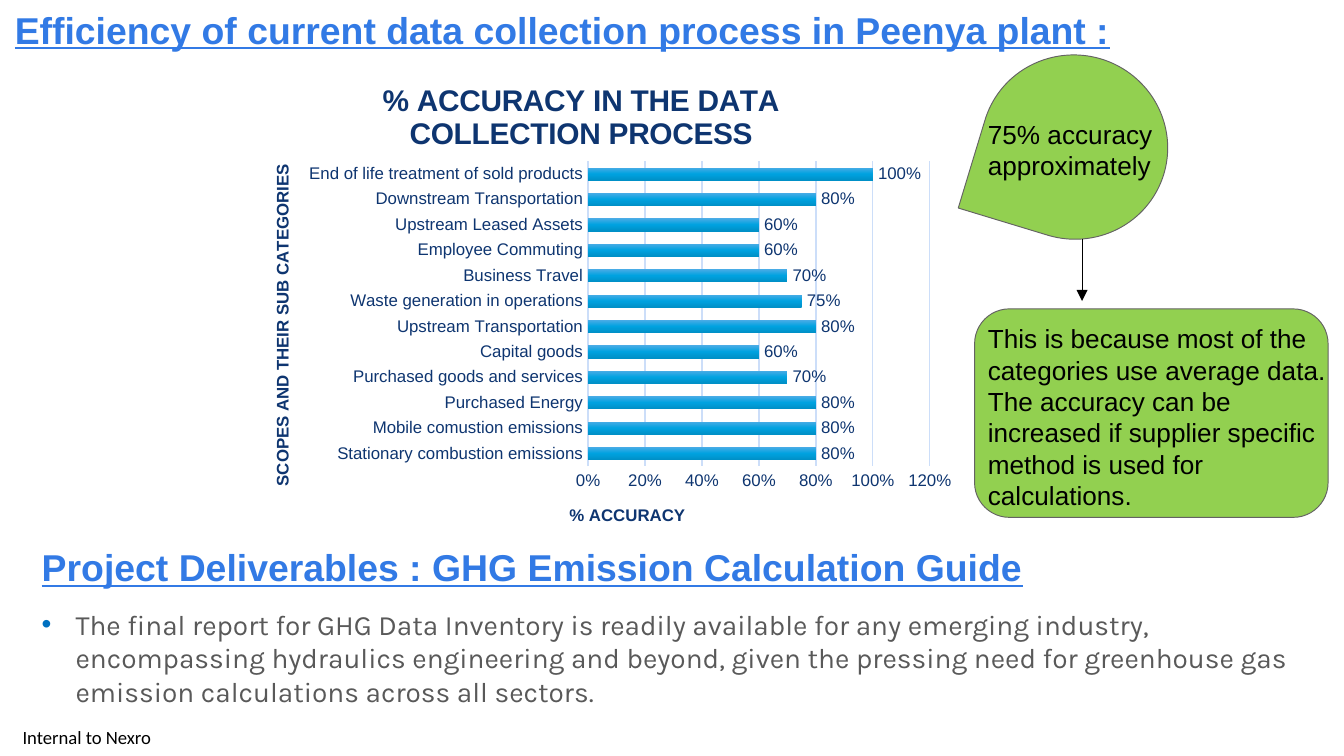
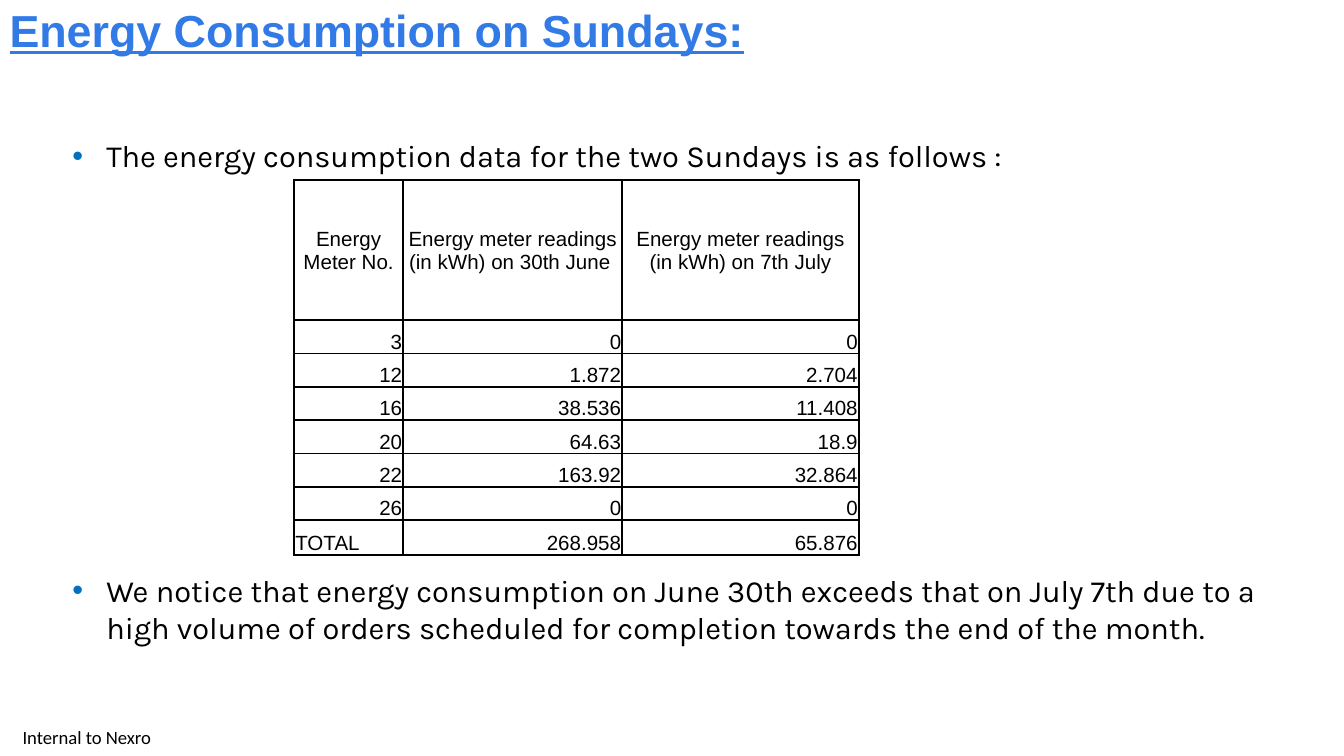
from dataclasses import dataclass, replace

from pptx import Presentation
from pptx.chart.data import CategoryChartData
from pptx.dml.color import RGBColor
from pptx.enum.chart import XL_CHART_TYPE as CT, XL_LABEL_POSITION as LP, XL_TICK_MARK as TM
from pptx.enum.shapes import MSO_CONNECTOR as CONN, MSO_SHAPE as SHAPE
from pptx.enum.text import MSO_ANCHOR as ANCHOR, MSO_AUTO_SIZE as AUTO, PP_ALIGN as ALIGN
from pptx.oxml import parse_xml
from pptx.oxml.ns import nsdecls, qn
from pptx.util import Cm, Pt


@dataclass(frozen=True)
class Style:
    size: float
    font: str = "Arial"
    color: str = "000000"
    bold: bool = False
    underline: bool = False


@dataclass(frozen=True)
class Theme:
    black: str = "000000"
    bullet: str = "0070C0"
    callout: str = "92D050"
    outline: str = "646363"
    grid: str = "CCDEF9"
    bar_stops: tuple = ((0, "4BACE6"), (50, "00A2E0"), (100, "0090C7"))
    heading: Style = Style(20, color="327AE5", bold=True, underline=True)
    body: Style = Style(15, "Karla", "595959")
    note: Style = Style(14)
    cell: Style = Style(11)
    footer: Style = Style(10, "Calibri")
    chart_title: Style = Style(16, color="0E3570", bold=True)
    axis_title: Style = Style(9, color="0E3570", bold=True)
    axis: Style = Style(9, color="0E3570")


THEME = Theme()
FOOTER = "Internal to Nexro"

ACCURACY = {
    "Stationary combustion emissions": 0.8,
    "Mobile comustion emissions": 0.8,
    "Purchased Energy": 0.8,
    "Purchased goods and services": 0.7,
    "Capital goods": 0.6,
    "Upstream Transportation": 0.8,
    "Waste generation in operations": 0.75,
    "Business Travel": 0.7,
    "Employee Commuting": 0.6,
    "Upstream Leased Assets": 0.6,
    "Downstream Transportation": 0.8,
    "End of life treatment of sold products": 1,
}

READINGS = [
    ("Energy Meter No.", "Energy meter readings (in kWh) on 30th June ",
     "Energy meter readings (in kWh) on 7th July"),
    ("3", "0", "0"),
    ("12", "1.872", "2.704"),
    ("16", "38.536", "11.408"),
    ("20", "64.63", "18.9"),
    ("22", "163.92", "32.864"),
    ("26", "0", "0"),
    ("TOTAL", "268.958", "65.876"),
]


# Text helpers
def rgb(color):
    return RGBColor.from_string(color)


def style_font(font, style):
    font.size = Pt(style.size)
    font.name = style.font
    font.bold = style.bold
    font.underline = style.underline
    font.color.rgb = rgb(style.color)


def add_run(p, text, style):
    r = p.add_run()
    r.text = text
    style_font(r.font, style)


def set_frame(tf, x_inset, y_inset, anchor=ANCHOR.TOP):
    tf.word_wrap = True
    tf.auto_size = AUTO.NONE
    tf.vertical_anchor = anchor
    tf.margin_left = tf.margin_right = Cm(x_inset)
    tf.margin_top = tf.margin_bottom = Cm(y_inset)


def add_text(slide, box, text, style, inset=(0.25, 0.13), align=ALIGN.LEFT,
             anchor=ANCHOR.TOP):
    tf = slide.shapes.add_textbox(*map(Cm, box)).text_frame
    set_frame(tf, *inset, anchor)
    p = tf.paragraphs[0]
    p.alignment = align
    add_run(p, text, style)


def add_bullets(slide, box, texts, style, gap=0):
    tf = slide.shapes.add_textbox(*map(Cm, box)).text_frame
    set_frame(tf, 0.13, 0.13)
    for i, text in enumerate(texts):
        p = tf.add_paragraph() if i else tf.paragraphs[0]
        p.space_before = Pt(gap if i else 0)
        pPr = p._p.get_or_add_pPr()
        pPr.set("marL", str(Cm(0.64)))
        pPr.set("indent", str(-Cm(0.64)))
        for xml in (f'<a:buClr {nsdecls("a")}><a:srgbClr val="{THEME.bullet}"/></a:buClr>',
                    f'<a:buFont {nsdecls("a")} typeface="Arial"/>',
                    f'<a:buChar {nsdecls("a")} char="•"/>'):
            pPr.append(parse_xml(xml))
        add_run(p, text, style)


# Slide with title and footer
def add_slide(prs, title, box, style, inset, spacing=1.0):
    slide = prs.slides.add_slide(prs.slide_layouts[5])
    sp = slide.shapes.title
    sp.left, sp.top, sp.width, sp.height = map(Cm, box)
    set_frame(sp.text_frame, *inset)
    p = sp.text_frame.paragraphs[0]
    p.alignment = ALIGN.LEFT
    p.line_spacing = spacing
    add_run(p, title, style)
    add_text(slide, (0, 13.56, 3.28, 0.74), FOOTER, THEME.footer, (0, 0),
             ALIGN.CENTER, ANCHOR.MIDDLE)
    return slide


# Shapes and arrows
def add_callout(slide, kind, box, rotation=0):
    sp = slide.shapes.add_shape(kind, *map(Cm, box))
    sp.shadow.inherit = False
    sp.rotation = rotation
    sp.fill.solid()
    sp.fill.fore_color.rgb = rgb(THEME.callout)
    sp.line.color.rgb = rgb(THEME.outline)
    sp.line.width = Pt(0.5)


def add_arrow(slide, x1, y1, x2, y2):
    line = slide.shapes.add_connector(CONN.STRAIGHT, *map(Cm, (x1, y1, x2, y2)))
    line.line.color.rgb = rgb(THEME.black)
    line.line.width = Pt(0.5)
    line.line._get_or_add_ln().append(parse_xml(f'<a:tailEnd {nsdecls("a")} type="triangle"/>'))
    line._element.spPr.append(parse_xml(f'<a:effectLst {nsdecls("a")}/>'))


# Chart
def place(element, x, y, w=None, h=None):
    """Set a manual layout, in fractions of the chart area."""
    old = element.find(qn("c:layout"))
    if old is not None:
        element.remove(old)
    target = '<c:layoutTarget val="inner"/>' if w else ""
    size = f'<c:w val="{w}"/><c:h val="{h}"/>' if w else ""
    layout = parse_xml(
        f'<c:layout {nsdecls("c")}><c:manualLayout>{target}<c:xMode val="edge"/>'
        f'<c:yMode val="edge"/><c:x val="{x}"/><c:y val="{y}"/>{size}'
        '</c:manualLayout></c:layout>')
    element.insert(0 if element.find(qn("c:tx")) is None else 1, layout)


def write_title(title, text, style, x, y, rotation=0):
    tf = title.text_frame
    add_run(tf.paragraphs[0], text, style)
    tf._txBody.find(qn("a:bodyPr")).set("rot", str(rotation * 60000))
    place(title._element, x, y)


def style_axis(axis):
    axis.major_tick_mark = axis.minor_tick_mark = TM.NONE
    style_font(axis.tick_labels.font, THEME.axis)


def style_line(line):
    line.color.rgb = rgb(THEME.grid)
    line.width = Pt(0.75)


def add_accuracy_chart(slide, box):
    data = CategoryChartData(number_format="0%")
    data.categories = list(ACCURACY)
    data.add_series("Series 1", list(ACCURACY.values()))
    chart = slide.shapes.add_chart(CT.BAR_CLUSTERED, *map(Cm, box), data).chart
    style_font(chart.font, Style(10))
    chart.has_legend = False
    write_title(chart.chart_title, "% ACCURACY IN THE DATA COLLECTION PROCESS",
                THEME.chart_title, 0.19, 0.05)
    place(chart._chartSpace.find(".//" + qn("c:plotArea")), 0.48, 0.22, 0.47, 0.61)

    cat, val = chart.category_axis, chart.value_axis
    style_axis(cat)
    style_axis(val)
    cat.has_major_gridlines = False
    style_line(cat.format.line)
    style_line(val.major_gridlines.format.line)
    val.format.line.fill.background()
    val.minimum_scale, val.maximum_scale, val.major_unit = 0, 1.2, 0.2
    val.tick_labels.number_format = "0%"
    val.tick_labels.number_format_is_linked = False
    write_title(cat.axis_title, "SCOPES AND THEIR SUB CATEGORIES",
                THEME.axis_title, 0.04, 0.22, -90)
    write_title(val.axis_title, "% ACCURACY", THEME.axis_title, 0.45, 0.9)

    plot = chart.plots[0]
    plot.gap_width = 100
    plot.vary_by_categories = False
    plot.has_data_labels = True
    labels = plot.data_labels
    labels.show_value = True
    labels.position = LP.OUTSIDE_END
    labels.number_format = "0%"
    labels.number_format_is_linked = False
    style_font(labels.font, THEME.axis)
    stops = "".join(f'<a:gs pos="{pos * 1000}"><a:srgbClr val="{color}"/></a:gs>'
                    for pos, color in THEME.bar_stops)
    plot.series[0]._element.get_or_add_spPr().append(parse_xml(
        f'<a:gradFill {nsdecls("a")} rotWithShape="1"><a:gsLst>{stops}</a:gsLst>'
        '<a:lin ang="5400000" scaled="0"/></a:gradFill>'))


# Table
def add_borders(cell):
    tcPr = cell._tc.get_or_add_tcPr()
    for i, side in enumerate("LRTB"):
        tcPr.insert(i, parse_xml(
            f'<a:ln{side} {nsdecls("a")} w="{Pt(1)}"><a:solidFill>'
            f'<a:srgbClr val="{THEME.black}"/></a:solidFill></a:ln{side}>'))


def add_readings_table(slide, box, widths, heights):
    table = slide.shapes.add_table(len(READINGS), len(widths), *map(Cm, box)).table
    table.first_row = table.horz_banding = False
    for col, width in zip(table.columns, widths):
        col.width = Cm(width)
    for row, height in zip(table.rows, heights):
        row.height = Cm(height)
    for i, values in enumerate(READINGS):
        for j, value in enumerate(values):
            cell = table.cell(i, j)
            cell.fill.background()
            add_borders(cell)
            cell.margin_left = cell.margin_right = cell.margin_top = Cm(0.02)
            cell.margin_bottom = 0
            cell.vertical_anchor = ANCHOR.BOTTOM if i else ANCHOR.MIDDLE
            p = cell.text_frame.paragraphs[0]
            if i == 0:
                p.alignment = ALIGN.CENTER
            else:
                p.alignment = ALIGN.LEFT if value == "TOTAL" else ALIGN.RIGHT
            add_run(p, value, THEME.cell)


# Slides
def build_efficiency(prs):
    slide = add_slide(prs, "Efficiency of current data collection process in Peenya plant :",
                      (0.15, 0, 22.86, 1.12), THEME.heading, (0.13, 0.13))
    add_text(slide, (0.66, 10.16, 22.86, 1.12),
             "Project Deliverables : GHG Emission Calculation Guide",
             THEME.heading, (0.13, 0.13))
    add_bullets(slide, (0.66, 11.35, 24.74, 1.96), [
        "The final report for GHG Data Inventory is readily available for any emerging "
        "industry, encompassing hydraulics engineering and beyond, given the pressing need "
        "for greenhouse gas emission calculations across all sectors."], THEME.body)
    add_callout(slide, SHAPE.TEAR, (18.54, 1.04, 3.53, 3.48), 196.9)
    add_text(slide, (18.42, 2.11, 3.76, 1.45), "75% accuracy approximately", THEME.note)
    add_accuracy_chart(slide, (4.52, 0.97, 13.74, 9.45))
    add_callout(slide, SHAPE.ROUNDED_RECTANGLE, (18.42, 5.84, 6.68, 3.94))
    add_text(slide, (18.42, 5.97, 6.99, 3.84),
             "This is because most of the categories use average data. The accuracy can be "
             "increased if supplier specific method is used for calculations.", THEME.note)
    add_arrow(slide, 20.45, 4.52, 20.45, 5.69)


def build_sundays(prs):
    slide = add_slide(prs, "Energy Consumption on Sundays:", (0, 0, 23.88, 1.19),
                      replace(THEME.heading, size=24), (0.18, 0.1), 0.98)
    add_bullets(slide, (1.24, 2.46, 22.89, 10.41), [
        "The energy consumption data for the two Sundays is as follows :",
        "We notice that energy consumption on June 30th exceeds that on July 7th due to a "
        "high volume of orders scheduled for completion towards the end of the month."],
        replace(THEME.body, size=16.5, color=THEME.black), gap=213)
    add_readings_table(slide, (5.56, 3.4, 10.67, 7.06), (2.06, 4.14, 4.47),
                       [2.65] + [0.63] * 6 + [0.66])


def main():
    prs = Presentation()
    prs.slide_width, prs.slide_height = Cm(25.4), Cm(14.29)
    build_efficiency(prs)
    build_sundays(prs)
    prs.save("out.pptx")


if __name__ == "__main__":
    main()
